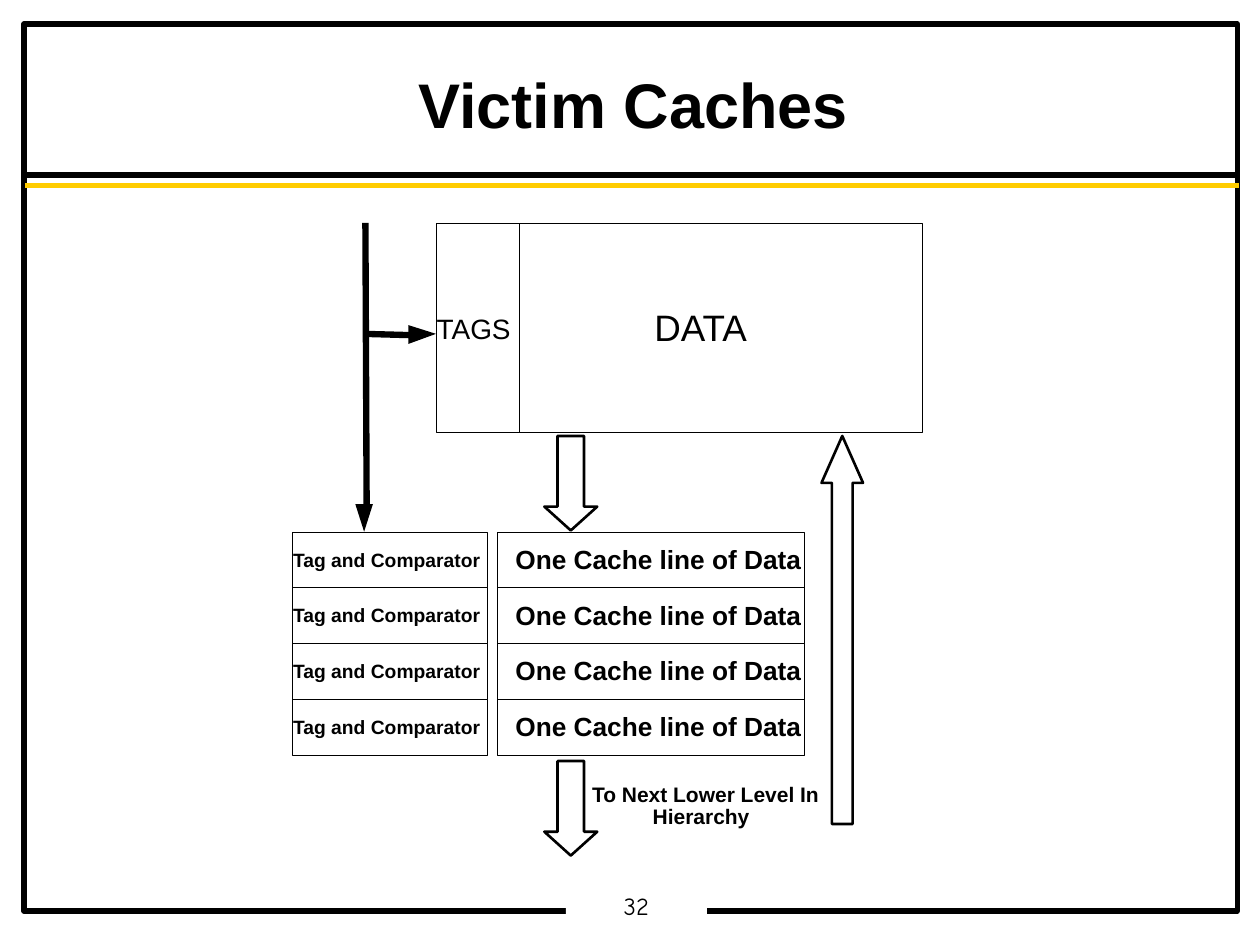
import pptx
import pptx.util
import pptx.dml.color
import pptx.enum.shapes
import pptx.enum.text
import pptx.oxml.ns
from lxml import etree

Inches = pptx.util.Inches
Pt = pptx.util.Pt
SHAPES = pptx.enum.shapes.MSO_SHAPE
BLACK = pptx.dml.color.RGBColor(0x00, 0x00, 0x00)
WHITE = pptx.dml.color.RGBColor(0xFF, 0xFF, 0xFF)
GOLD = pptx.dml.color.RGBColor(0xFF, 0xCC, 0x00)

deck = pptx.Presentation()
deck.slide_width = Inches(10)
deck.slide_height = Inches(7.5)
page = deck.slides.add_slide(deck.slide_layouts[6])


def add_outline(kind, left, top, width, height, fill=None, line_width=None):
    """Add a preset shape; without a fill or line width that part stays empty."""
    shape = page.shapes.add_shape(
        kind, Inches(left), Inches(top), Inches(width), Inches(height))
    shape.shadow.inherit = False
    if fill is None:
        shape.fill.background()
    else:
        shape.fill.solid()
        shape.fill.fore_color.rgb = fill
    if line_width is None:
        shape.line.fill.background()
    else:
        shape.line.color.rgb = BLACK
        shape.line.width = Pt(line_width)
    return shape


def add_label(text, left, top, width, height, size, bold=False, font="Arial"):
    """Add one centred line of text in a box without margins."""
    box = page.shapes.add_textbox(
        Inches(left), Inches(top), Inches(width), Inches(height))
    frame = box.text_frame
    frame.word_wrap = False
    frame.margin_left = frame.margin_right = 0
    frame.margin_top = frame.margin_bottom = 0
    frame.vertical_anchor = pptx.enum.text.MSO_ANCHOR.MIDDLE
    para = frame.paragraphs[0]
    para.alignment = pptx.enum.text.PP_ALIGN.CENTER
    span = para.add_run()
    span.text = text
    span.font.name = font
    span.font.size = Pt(size)
    span.font.bold = bold
    span.font.color.rgb = BLACK


# Frame, page number and title
add_outline(SHAPES.RECTANGLE, 0.19, 0.19, 9.63, 7.04, line_width=3)
add_outline(SHAPES.RECTANGLE, 4.49, 7.05, 1.12, 0.27, fill=WHITE)
add_label("32", 4.49, 7.05, 1.12, 0.27, 14, font="Comic Neue")
add_label("Victim Caches", 0.2, 0.26, 9.65, 1.12, 36, bold=True)

# Main cache
add_outline(SHAPES.RECTANGLE, 4.12, 1.77, 3.2, 1.66, WHITE, 0.25)
add_label("DATA", 5.17, 2.42, 0.78, 0.35, 21)
add_outline(SHAPES.RECTANGLE, 3.46, 1.77, 0.66, 1.66, WHITE, 0.25)
add_label("TAGS", 3.46, 2.47, 0.6, 0.27, 16)

# Victim cache entries
ROW_HEIGHT = 0.443
for row in range(4):
    top = 4.22 + row * ROW_HEIGHT
    add_outline(SHAPES.RECTANGLE, 3.95, top, 2.43, ROW_HEIGHT, WHITE, 0.25)
    add_label("One Cache line of Data", 4.09, top + 0.09, 2.27, 0.25, 15, bold=True)
    add_outline(SHAPES.RECTANGLE, 2.32, top, 1.55, ROW_HEIGHT, WHITE, 0.25)
    add_label("Tag and Comparator", 2.32, top + 0.13, 1.5, 0.18, 11, bold=True)

# Title rules and address lines
for x1, y1, x2, y2, color, width in (
    (0.2, 1.39, 9.83, 1.39, BLACK, 3),
    (0.2, 1.47, 9.83, 1.47, GOLD, 3),
    (2.9, 1.77, 2.91, 4.01, BLACK, 3.63),
    (2.9, 2.65, 3.26, 2.66, BLACK, 3.63),
):
    line = page.shapes.add_connector(
        pptx.enum.shapes.MSO_CONNECTOR.STRAIGHT,
        Inches(x1), Inches(y1), Inches(x2), Inches(y2))
    line.line.color.rgb = color
    line.line.width = Pt(width)
    etree.SubElement(line._element.spPr, pptx.oxml.ns.qn("a:effectLst"))

# Heads of the address lines
for start, *others in (
    ((2.96, 4.0), (2.89, 4.22), (2.82, 4.0)),
    ((3.24, 2.58), (3.46, 2.65), (3.24, 2.73)),
):
    builder = page.shapes.build_freeform(Inches(start[0]), Inches(start[1]))
    builder.add_line_segments([(Inches(x), Inches(y)) for x, y in others], close=True)
    head = builder.convert_to_shape()
    head.shadow.inherit = False
    head.fill.solid()
    head.fill.fore_color.rgb = BLACK
    head.line.fill.background()

# Block arrows between the levels
for kind, left, top, width, height, head_ratio in (
    (SHAPES.DOWN_ARROW, 4.32, 3.46, 0.42, 0.75, 0.45),
    (SHAPES.DOWN_ARROW, 4.32, 6.04, 0.42, 0.75, 0.45),
    (SHAPES.UP_ARROW, 6.52, 3.46, 0.33, 3.08, 1.13),
):
    arrow = add_outline(kind, left, top, width, height, line_width=1.5)
    arrow.adjustments[0] = 0.5
    arrow.adjustments[1] = head_ratio

add_label("To Next Lower Level In", 4.69, 6.2, 1.82, 0.2, 12, bold=True)
add_label("Hierarchy", 5.18, 6.38, 0.77, 0.2, 12, bold=True)

deck.save("out.pptx")
